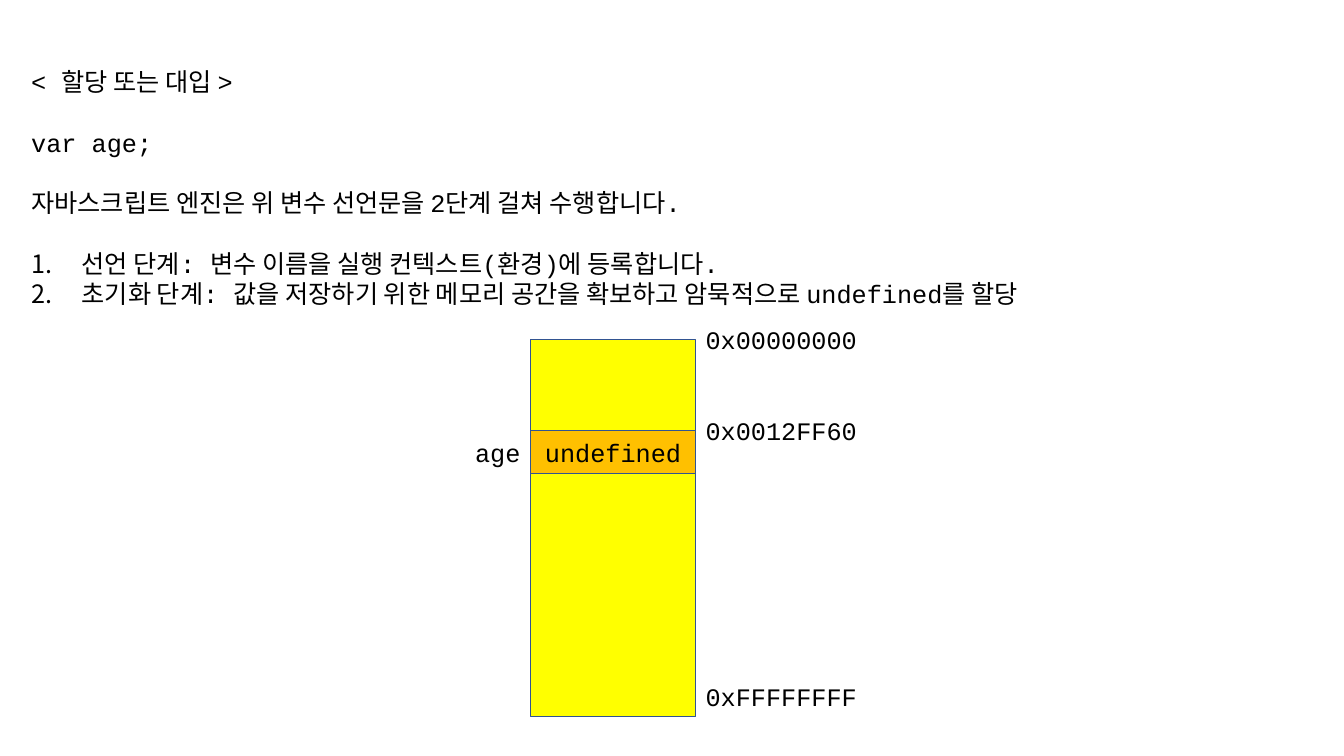
from lxml.etree import SubElement
from pptx import Presentation
from pptx.dml.color import RGBColor
from pptx.enum.shapes import MSO_SHAPE
from pptx.enum.text import MSO_ANCHOR, MSO_AUTO_SIZE, PP_ALIGN
from pptx.oxml.ns import qn
from pptx.util import Inches, Pt

FONT = "Courier New"
LINE = 0.3
LABEL_HEIGHT = 0.4
STEPS = ["선언 단계: 변수 이름을 실행 컨텍스트(환경)에 등록합니다.",
         "초기화 단계: 값을 저장하기 위한 메모리 공간을 확보하고 암묵적으로 undefined를 할당"]
INTRO = ["var age;", "자바스크립트 엔진은 위 변수 선언문을 2단계 걸쳐 수행합니다."]


def color(value):
    """Turn a hex string into a colour."""
    return RGBColor.from_string(value)


def place(shape, left, top, width, height):
    """Move a shape to a box given in inches."""
    shape.left, shape.top = Inches(left), Inches(top)
    shape.width, shape.height = Inches(width), Inches(height)


def write(shape, lines, align=PP_ALIGN.LEFT, anchor=MSO_ANCHOR.TOP, wrap=False):
    """Fill a shape with lines in the code font and return its paragraphs."""
    frame = shape.text_frame
    frame.text = "\n".join(lines)
    frame.word_wrap = wrap
    frame.auto_size = MSO_AUTO_SIZE.NONE
    frame.vertical_anchor = anchor
    for para in frame.paragraphs:
        para.alignment = align
        para.space_before = para.space_after = Pt(0)
        for span in para.runs:
            span.font.name = FONT
            span.font.size = Pt(18)
            span.font.color.rgb = color("000000")
    return frame.paragraphs


def set_list(para, numbered):
    """Number a paragraph with a hanging indent, or clear its bullet."""
    properties = para._p.get_or_add_pPr()
    indent = Inches(0.5) if numbered else 0
    properties.set("marL", str(indent))
    properties.set("indent", str(-indent))
    if numbered:
        SubElement(properties, qn("a:buFont"), typeface=FONT)
        SubElement(properties, qn("a:buAutoNum"), type="arabicPeriod")
    else:
        SubElement(properties, qn("a:buNone"))


def add_explanation(page, left, top, width, height):
    """Write the heading, the declaration and its two steps."""
    title, body = page.placeholders
    place(title, left, top, width, LABEL_HEIGHT)
    place(body, left, top + 2 * LINE, width, height - 2 * LINE)
    heading = write(title, ["< 할당 또는 대입 >"], wrap=True)
    paras = write(body, INTRO + STEPS, wrap=True)
    for para in heading + paras:
        para.line_spacing = Inches(LINE)
    for para in paras[1:3]:
        para.space_before = Inches(LINE)
    for index, para in enumerate(paras):
        set_list(para, index >= len(INTRO))


def add_block(page, left, top, width, height, fill):
    """Draw one outlined block of memory."""
    block = page.shapes.add_shape(MSO_SHAPE.RECTANGLE, 0, 0, 0, 0)
    place(block, left, top, width, height)
    block.shadow.inherit = False
    block.fill.solid()
    block.fill.fore_color.rgb = color(fill)
    block.line.color.rgb = color("325491")
    block.line.width = Pt(1)
    return block


def add_label(page, text, left, top, width, align=PP_ALIGN.LEFT):
    """Add a one-line label."""
    label = page.shapes.add_textbox(0, 0, 0, 0)
    place(label, left, top, width, LABEL_HEIGHT)
    write(label, [text], align)


def add_memory(page, left, top, width, height):
    """Draw the memory column, its variable cell and the addresses."""
    cell_top, cell_height = top + 0.9, 0.43
    add_block(page, left, top, width, height, "FFFF00")
    cell = add_block(page, left, cell_top, width, cell_height, "FFC000")
    write(cell, ["undefined"], PP_ALIGN.CENTER, MSO_ANCHOR.MIDDLE)
    addresses = {"0x00000000": top - LABEL_HEIGHT / 2,
                 "0x0012FF60": cell_top - LABEL_HEIGHT / 2,
                 "0xFFFFFFFF": top + height - LABEL_HEIGHT}
    for address, label_top in addresses.items():
        add_label(page, address, left + width, label_top, 1.71)
    name_width = 0.65
    add_label(page, "age", left - name_width,
              cell_top + (cell_height - LABEL_HEIGHT) / 2, name_width, PP_ALIGN.RIGHT)


deck = Presentation()
deck.slide_width, deck.slide_height = Inches(13.33), Inches(7.5)
page = deck.slides.add_slide(deck.slide_layouts[1])
add_explanation(page, 0.21, 0.61, 11.75, 2.52)
add_memory(page, 5.26, 3.37, 1.64, 3.74)
deck.save("out.pptx")
